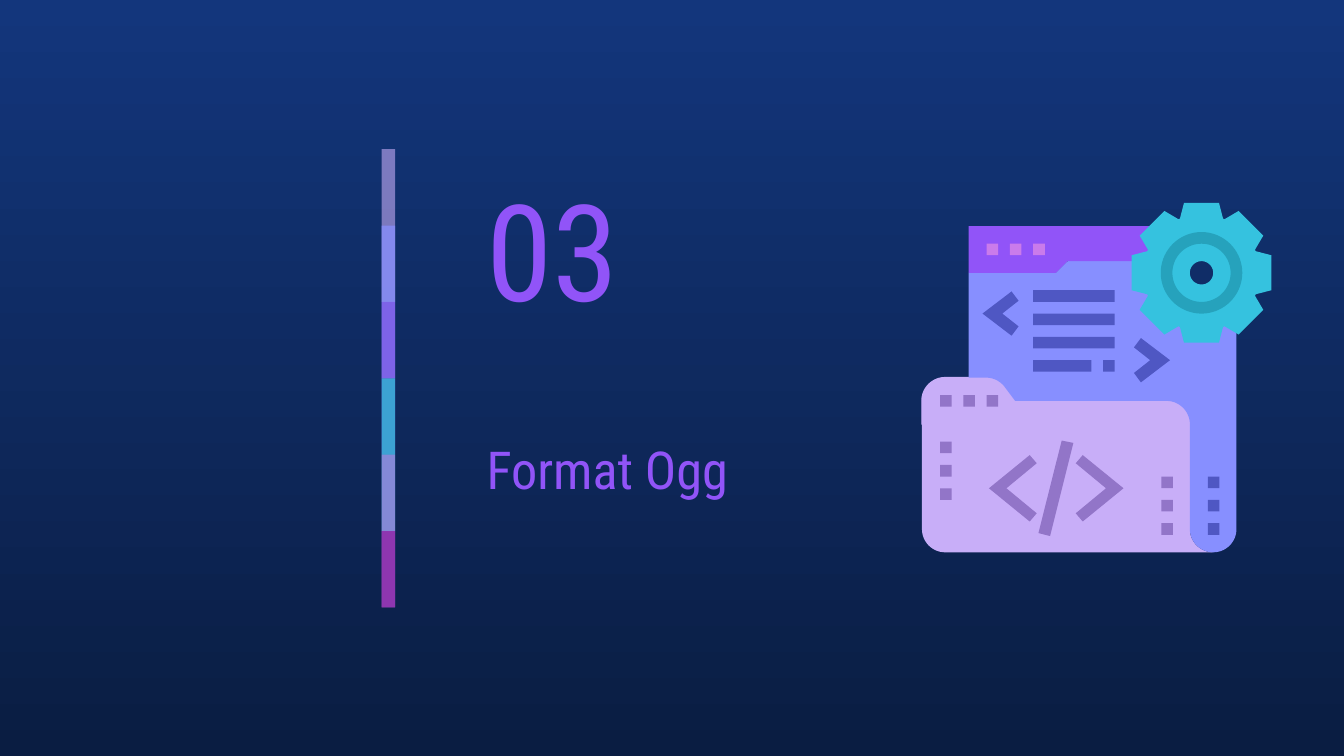
from dataclasses import dataclass
from math import cos, radians, sin

from pptx import Presentation
from pptx.dml.color import RGBColor
from pptx.enum.shapes import MSO_SHAPE as Preset
from pptx.enum.text import MSO_ANCHOR as Anchor, MSO_AUTO_SIZE as AutoSize, PP_ALIGN as Align
from pptx.oxml.ns import qn
from pptx.util import Inches, Pt
from lxml.etree import SubElement

NAVY, MIDNIGHT = RGBColor(0x13, 0x36, 0x7C), RGBColor(0x0A, 0x1D, 0x42)
LILAC = RGBColor(0xC8, 0xAE, 0xF8)
PERIWINKLE = RGBColor(0x87, 0x8F, 0xFF)
VIOLET = RGBColor(0x91, 0x54, 0xF8)
CYAN = RGBColor(0x35, 0xC2, 0xDF)
TEAL = RGBColor(0x26, 0xA2, 0xBC)
ORCHID = RGBColor(0xCA, 0x7B, 0xEB)
MAGENTA = RGBColor(0x97, 0x2C, 0xB4)
PURPLE = RGBColor(0x92, 0x75, 0xC8)
INDIGO = RGBColor(0x4F, 0x57, 0xC3)
FONT = "Roboto Condensed"

# A 16:9 slide
SLIDE_WIDTH = 10
SLIDE_HEIGHT = SLIDE_WIDTH * 9 / 16

# The illustration sits on a grid of 30 by 30 units
ICON_LEFT, ICON_TOP, UNIT = 6.86, 1.51, 2.6 / 30
GEAR_CENTRE = (24, 6)

Point = tuple[float, float]


@dataclass
class Band:
    color: RGBColor
    opacity: int
    rows: int = 2


@dataclass
class Marks:
    """Equal bars, placed from a grid position in fixed steps."""
    col: float
    row: float
    color: RGBColor
    step: Point
    count: int = 3
    width: float = 1


@dataclass
class Chevron:
    tip: Point
    direction: int
    color: RGBColor
    half: tuple[Point, Point, Point]  # outer end, inner end, inner tip


def paint(shape, color: RGBColor) -> None:
    shape.shadow.inherit = False
    shape.fill.solid()
    shape.fill.fore_color.rgb = color
    shape.line.fill.background()


def to_slide(point: Point) -> tuple[int, int]:
    return Inches(ICON_LEFT + point[0] * UNIT), Inches(ICON_TOP + point[1] * UNIT)


def arc(centre: Point, radius: float, start: float, end: float, steps: int = 16) -> list[Point]:
    angles = [radians(start + (end - start) * i / steps) for i in range(steps + 1)]
    return [(centre[0] + radius * cos(a), centre[1] + radius * sin(a)) for a in angles]


def circle(radius: float) -> list[Point]:
    return arc(GEAR_CENTRE, radius, 0, 360, 72)


def draw_outline(slide, color: RGBColor, *contours: list[Point]):
    paths = [[to_slide(point) for point in contour] for contour in contours]
    builder = slide.shapes.build_freeform(*paths[0][0])
    for number, path in enumerate(paths):
        if number:
            builder.move_to(*path[0])
        builder.add_line_segments(path[1:], close=True)
    shape = builder.convert_to_shape()
    paint(shape, color)
    return shape


def draw_marks(slide, marks: Marks) -> None:
    for i in range(marks.count):
        left, top = to_slide((marks.col + i * marks.step[0], marks.row + i * marks.step[1]))
        bar = slide.shapes.add_shape(Preset.RECTANGLE, left, top,
                                     Inches(marks.width * UNIT), Inches(UNIT))
        paint(bar, marks.color)


def draw_chevron(slide, chevron: Chevron) -> None:
    (x, y), side = chevron.tip, chevron.direction
    outer, inner, notch = chevron.half
    offsets = [(0, 0), outer, inner, notch, (inner[0], -inner[1]), (outer[0], -outer[1])]
    draw_outline(slide, chevron.color, [(x + side * dx, y + dy) for dx, dy in offsets])


def gear_outline() -> list[Point]:
    tooth = [(-1.85, -4.65), (-1.5, -6), (1.5, -6), (1.85, -4.65)]
    outline = []
    for angle in (radians(45 * i) for i in range(8)):
        outline += [(GEAR_CENTRE[0] + x * cos(angle) - y * sin(angle),
                     GEAR_CENTRE[1] + x * sin(angle) + y * cos(angle)) for x, y in tooth]
    return outline


def draw_bands(slide, bands: list[Band]) -> None:
    row_height = 3.41 / 6
    for row, band in enumerate(bands):
        shape = slide.shapes.add_shape(Preset.RECTANGLE, Inches(2.84), Inches(1.11 + row * row_height),
                                       Inches(0.1), Inches(band.rows * row_height))
        paint(shape, band.color)
        color = shape.fill._xPr.find(".//" + qn("a:srgbClr"))
        SubElement(color, qn("a:alpha")).set("val", str(band.opacity * 1000))


def write_heading(holder, text: str, size: int, box: tuple[float, ...]) -> None:
    holder.left, holder.top, holder.width, holder.height = map(Inches, box)
    frame = holder.text_frame
    frame.text = text
    frame.word_wrap = True
    frame.auto_size = AutoSize.NONE
    frame.vertical_anchor = Anchor.MIDDLE
    frame.margin_left = frame.margin_right = frame.margin_top = frame.margin_bottom = Inches(0.1)
    paragraph = frame.paragraphs[0]
    paragraph.alignment = Align.LEFT
    font = paragraph.runs[0].font
    font.name, font.size, font.color.rgb = FONT, Pt(size), VIOLET


def draw_illustration(slide) -> None:
    # Folder body and tab
    fold = arc((25, 28), 2, 90, 180)
    shoulder = arc((21, 19), 2, 0, -90)
    tab_slope = arc((5.5, 17), 2, -35, -90)
    draw_outline(slide, LILAC, [(0, 19), *arc((2, 28), 2, 180, 90), *fold, (23, 19)])
    tab = draw_outline(slide, LILAC, [(0, 19), (23, 19), *shoulder, (8, 17), *tab_slope,
                                      *arc((2, 17), 2, -90, -180)])
    tab.line.color.rgb = LILAC
    tab.line.width = Pt(0.75)

    # Page with its header; the page edge runs beneath the gear
    draw_outline(slide, PERIWINKLE, [
        (12.5, 5), (11.5, 6), (4, 6), (4, 15), *reversed(tab_slope), (8, 17),
        *reversed(shoulder), *reversed(fold), *arc((25, 28), 2, 90, 0),
        (27, 10), (24, 10), (20, 7), (20, 5)])
    draw_outline(slide, VIOLET, [(4, 2), (4, 6), (11.5, 6), (12.5, 5), (19.5, 5), (19.5, 2)])

    # Gear
    draw_outline(slide, CYAN, circle(3), circle(1))
    draw_outline(slide, CYAN, gear_outline(), circle(3))
    draw_outline(slide, TEAL, circle(3.5), circle(2.5))

    # Dots and code lines
    across, down = (2, 0), (0, 2)
    for marks in (
        Marks(5.55, 3.5, ORCHID, across),
        Marks(1.55, 16.5, PURPLE, across),
        Marks(1.55, 20.5, PURPLE, down),
        Marks(20.55, 23.5, PURPLE, down),
        Marks(24.55, 23.5, INDIGO, down),
        Marks(9.55, 7.5, INDIGO, down, width=7),
        Marks(9.55, 13.5, INDIGO, down, count=1, width=5),
        Marks(15.55, 13.5, INDIGO, down, count=1),
    ):
        draw_marks(slide, marks)

    # Angle brackets and slash
    small = ((2.5, -1.9), (3.1, -1.1), (1.7, 0))
    large = ((3.5, -2.85), (4.1, -2.15), (1.5, 0))
    for chevron in (
        Chevron((5.2, 9.5), 1, INDIGO, small),
        Chevron((21.3, 13.5), -1, INDIGO, small),
        Chevron((5.75, 24.5), 1, PURPLE, large),
        Chevron((17.3, 24.5), -1, PURPLE, large),
    ):
        draw_chevron(slide, chevron)
    draw_outline(slide, PURPLE, [(12, 20.4), (10, 28.35), (11, 28.6), (13, 20.6)])


def main() -> None:
    deck = Presentation()
    deck.slide_width, deck.slide_height = Inches(SLIDE_WIDTH), Inches(SLIDE_HEIGHT)
    slide = deck.slides.add_slide(deck.slide_layouts[5])

    # Background
    backdrop = slide.background.fill
    backdrop.gradient()
    backdrop.gradient_angle = 270
    for stop, color, position in zip(backdrop.gradient_stops, (NAVY, MIDNIGHT), (0, 1)):
        stop.color.rgb, stop.position = color, position

    # Overlapping colour bands
    draw_bands(slide, [Band(LILAC, 59), Band(PERIWINKLE, 74), Band(VIOLET, 53),
                       Band(CYAN, 76), Band(ORCHID, 56), Band(MAGENTA, 74, rows=1)])

    # Section number and title
    section_number = slide.shapes.add_textbox(0, 0, 0, 0)
    write_heading(section_number, "03", 72, (3.52, 1.44, 1.75, 0.81))
    write_heading(slide.shapes.title, "Format Ogg", 28, (3.52, 3.15, 2.87, 0.67))

    draw_illustration(slide)
    deck.save("out.pptx")


if __name__ == "__main__":
    main()
